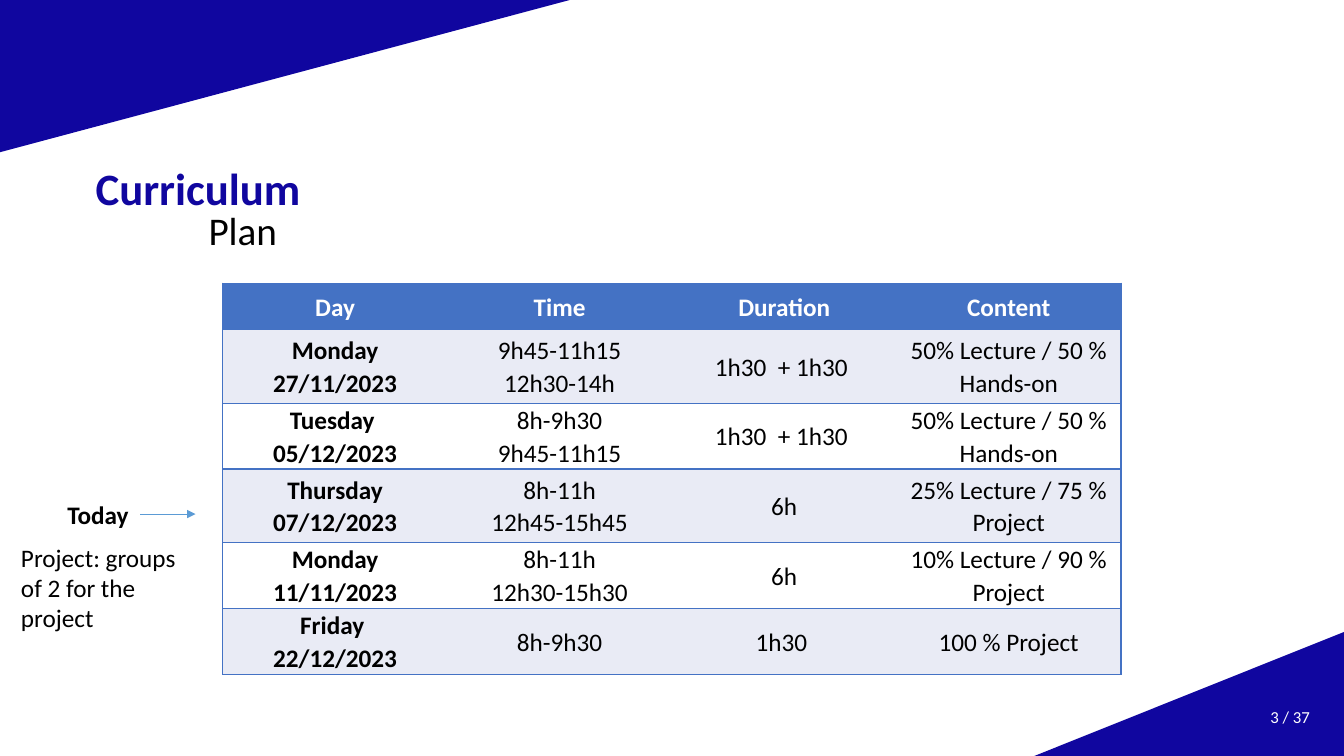
from lxml import etree
from pptx import Presentation
from pptx.dml.color import RGBColor
from pptx.enum.shapes import MSO_CONNECTOR, MSO_SHAPE
from pptx.enum.text import MSO_ANCHOR, MSO_AUTO_SIZE, PP_ALIGN
from pptx.oxml.ns import qn
from pptx.util import Inches, Pt

TOP, MIDDLE = MSO_ANCHOR.TOP, MSO_ANCHOR.MIDDLE
LEFT, CENTER, RIGHT = PP_ALIGN.LEFT, PP_ALIGN.CENTER, PP_ALIGN.RIGHT
FIT_SHAPE = MSO_AUTO_SIZE.SHAPE_TO_FIT_TEXT
TRIANGLE, STRAIGHT = MSO_SHAPE.RIGHT_TRIANGLE, MSO_CONNECTOR.STRAIGHT

FONT = "Calibri"
NAVY, BLUE, ARROW_BLUE = "10069F", "4472C4", "5B9BD5"
BAND, WHITE, BLACK = "E9EBF5", "FFFFFF", "000000"

# left, top, width, height, rotation
CORNERS = [
    (0, 0, 5.65, 1.51, 180),
    (10.26, 6.27, 3.07, 1.23, 0),
]

PLAN = [
    ("Day", "Time", "Duration", "Content"),
    ("Monday 27/11/2023", "9h45-11h15\n12h30-14h", "1h30  + 1h30 ",
     "50% Lecture / 50 % Hands-on"),
    ("Tuesday \n05/12/2023", "8h-9h30\n9h45-11h15", "1h30  + 1h30 ",
     "50% Lecture / 50 % Hands-on"),
    ("Thursday 07/12/2023", "8h-11h\n12h45-15h45", "6h",
     "25% Lecture / 75 % Project"),
    ("Monday 11/11/2023", "8h-11h\n12h30-15h30", "6h",
     "10% Lecture / 90 % Project"),
    ("Friday \n22/12/2023", "8h-9h30", "1h30 ", "100 % Project"),
]
PLAN_LEFT, PLAN_TOP, PLAN_WIDTH = 2.21, 2.81, 8.91
ROW_HEIGHTS = [0.46, 0.73, 0.65, 0.73, 0.65, 0.65]

# text, (left, top, width, height), size, colour, bold, anchor, alignment
TEXTS = [
    ("Curriculum", (0.85, 1.67, 11.33, 0.45), 32, NAVY, True, MIDDLE, LEFT),
    ("Plan", (1.97, 2.05, 9.3, 0.38), 28, BLACK, False, TOP, LEFT),
    ("Today", (0.57, 4.9, 0.95, 0.4), 18, BLACK, True, TOP, LEFT),
    ("Project: groups of 2 for the project", (0.11, 5.33, 1.88, 1.01),
     18, BLACK, False, TOP, LEFT),
    ("3 / 37", (11.8, 6.91, 1.29, 0.4), 12, WHITE, False, MIDDLE, RIGHT),
]
HEADINGS = ("Curriculum", "Plan")
ARROW = (1.39, 5.1, 1.94, 5.1)


def rgb(value):
    return RGBColor.from_string(value)


def format_paragraph(p, size, color, bold, align):
    p.alignment = align
    for r in p.runs:
        r.font.name = FONT
        r.font.size = Pt(size)
        r.font.bold = bold
        r.font.color.rgb = rgb(color)


def add_corner(slide, left, top, width, height, rotation):
    sp = slide.shapes.add_shape(TRIANGLE, Inches(left), Inches(top),
                                Inches(width), Inches(height))
    sp.shadow.inherit = False
    sp.fill.solid()
    sp.fill.fore_color.rgb = rgb(NAVY)
    sp.line.fill.background()
    sp.rotation = rotation
    sp.element.spPr.find(qn("a:xfrm")).set("flipH", "1")


def add_text(slide, text, box, size, color, bold, anchor, align):
    sp = slide.shapes.add_textbox(*map(Inches, box))
    tf = sp.text_frame
    tf.word_wrap = True
    tf.vertical_anchor = anchor
    tf.text = text
    p = tf.paragraphs[0]
    format_paragraph(p, size, color, bold, align)
    if text in HEADINGS:
        p.line_spacing = 0.9
    elif anchor == TOP:
        tf.auto_size = FIT_SHAPE


def set_borders(cell, colors):
    """Draw 1 pt borders for sides L, R, T, B; None leaves a side bare."""
    tcPr = cell._tc.get_or_add_tcPr()
    for side, color in colors.items():
        ln = etree.SubElement(tcPr, qn("a:ln" + side), w=str(Pt(1)))
        if color:
            fill = etree.SubElement(ln, qn("a:solidFill"))
            etree.SubElement(fill, qn("a:srgbClr"), val=color)
        else:
            etree.SubElement(ln, qn("a:noFill"))


def add_plan(slide):
    n_rows, n_cols = len(PLAN), len(PLAN[0])
    table = slide.shapes.add_table(
        n_rows, n_cols, Inches(PLAN_LEFT), Inches(PLAN_TOP),
        Inches(PLAN_WIDTH), Inches(sum(ROW_HEIGHTS))).table
    for column in table.columns:
        column.width = Inches(PLAN_WIDTH / n_cols)
    for i, row in enumerate(PLAN):
        table.rows[i].height = Inches(ROW_HEIGHTS[i])
        header = i == 0
        fill = BLUE if header else BAND if i % 2 else WHITE
        for j, text in enumerate(row):
            cell = table.cell(i, j)
            cell.margin_left = cell.margin_right = Inches(0.07)
            cell.margin_top = cell.margin_bottom = 0
            cell.vertical_anchor = MIDDLE
            set_borders(cell, {"L": BLUE if j == 0 else None,
                               "R": BLUE if j == n_cols - 1 else None,
                               "T": BLUE, "B": BLUE})
            cell.fill.solid()
            cell.fill.fore_color.rgb = rgb(fill)
            p = cell.text_frame.paragraphs[0]
            p.text = text.replace("\n", "\v")
            p.line_spacing = 1.07
            p.space_after = Pt(8)
            format_paragraph(p, 18, WHITE if header else BLACK,
                             header or j == 0, CENTER)


def add_arrow(slide):
    arrow = slide.shapes.add_connector(STRAIGHT, *map(Inches, ARROW))
    arrow.line.color.rgb = rgb(ARROW_BLUE)
    arrow.line.width = Pt(0.5)
    spPr = arrow._element.spPr
    etree.SubElement(spPr.find(qn("a:ln")), qn("a:tailEnd"), type="triangle")
    etree.SubElement(spPr, qn("a:effectLst"))


def main():
    prs = Presentation()
    prs.slide_width, prs.slide_height = Inches(13.33), Inches(7.5)
    slide = prs.slides.add_slide(prs.slide_layouts[6])
    for corner in CORNERS:
        add_corner(slide, *corner)
    add_plan(slide)
    add_arrow(slide)
    for entry in TEXTS:
        add_text(slide, *entry)
    prs.save("out.pptx")


if __name__ == "__main__":
    main()
